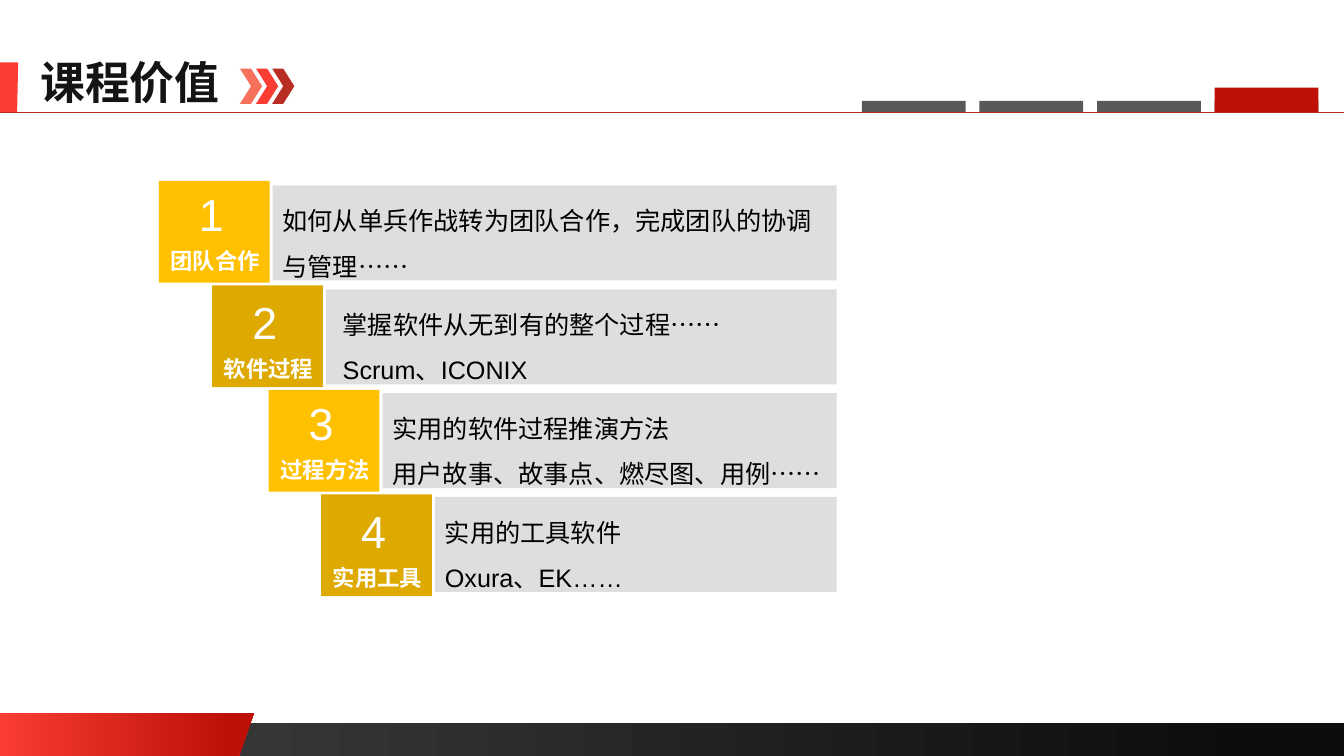
from dataclasses import dataclass

from pptx import Presentation
from pptx.dml.color import RGBColor
from pptx.enum.shapes import MSO_CONNECTOR, MSO_SHAPE
from pptx.enum.text import MSO_ANCHOR, MSO_AUTO_SIZE, PP_ALIGN
from pptx.oxml.ns import qn
from pptx.util import Inches, Pt

RECT = MSO_SHAPE.RECTANGLE
CHEVRON = MSO_SHAPE.CHEVRON
STRAIGHT = MSO_CONNECTOR.STRAIGHT
LEFT = PP_ALIGN.LEFT
CENTER = PP_ALIGN.CENTER
TOP = MSO_ANCHOR.TOP
FIXED = MSO_AUTO_SIZE.NONE

WHITE = RGBColor(0xFF, 0xFF, 0xFF)
BLACK = RGBColor(0x00, 0x00, 0x00)
INK = RGBColor(0x14, 0x13, 0x16)
COAL = RGBColor(0x40, 0x40, 0x40)
NIGHT = RGBColor(0x0D, 0x0D, 0x0D)
SLATE = RGBColor(0x59, 0x59, 0x59)
SILVER = RGBColor(0xDE, 0xDE, 0xDE)
CORAL = RGBColor(0xF5, 0x71, 0x5B)
RED = RGBColor(0xF9, 0x3D, 0x32)
BRICK = RGBColor(0xB8, 0x2E, 0x24)
CRIMSON = RGBColor(0xBE, 0x10, 0x07)
AMBER = RGBColor(0xFF, 0xC0, 0x00)
GOLD = RGBColor(0xDE, 0xA9, 0x00)

LATIN = "Arial"
ASIAN = "Noto Sans CJK SC"

COLS, ROWS = 80, 45
deck = Presentation()
deck.slide_width = Inches(13.33)
deck.slide_height = Inches(7.5)
slide = deck.slides.add_slide(deck.slide_layouts[5])


@dataclass
class Step:
    label: str
    lines: list[str]
    left: float
    inset: float = 0


STEPS = [
    Step("团队合作", ["如何从单兵作战转为团队合作，完成团队的协调与管理……"], 9.45),
    Step("软件过程", ["掌握软件从无到有的整个过程……", "Scrum、ICONIX"], 12.63, 0.4),
    Step("过程方法", ["实用的软件过程推演方法", "用户故事、故事点、燃尽图、用例……"], 15.99),
    Step("实用工具", ["实用的工具软件", "Oxura、EK……"], 19.11),
]


def across(cols: float) -> int:
    return round(deck.slide_width * cols / COLS)


def down(rows: float) -> int:
    return round(deck.slide_height * rows / ROWS)


def area(x: float, y: float, w: float, h: float) -> tuple[int, int, int, int]:
    return across(x), down(y), across(w), down(h)


def paint(shape, color: RGBColor, end: RGBColor | None = None, stop: float = 1):
    shape.shadow.inherit = False
    shape.line.fill.background()
    if end is None:
        shape.fill.solid()
        shape.fill.fore_color.rgb = color
        return
    shape.fill.gradient()
    shape.fill.gradient_angle = 0
    first, last = shape.fill.gradient_stops
    first.color.rgb, first.position = color, 0
    last.color.rgb, last.position = end, stop


def block(x: float, y: float, w: float, h: float, color: RGBColor, kind=RECT, **blend):
    paint(slide.shapes.add_shape(kind, *area(x, y, w, h)), color, **blend)


def outline(points: list[tuple[float, float]], color: RGBColor, **blend):
    spots = [(across(x), down(y)) for x, y in points]
    form = slide.shapes.build_freeform(*spots[0])
    form.add_line_segments(spots[1:])
    paint(form.convert_to_shape(), color, **blend)


def write(lines: list[str], x: float, y: float, w: float, h: float, *, size: int,
          color: RGBColor, bold: bool = False, align=LEFT, wrap: bool = True,
          space: float = 1, face: str = LATIN, holder=None):
    box = holder or slide.shapes.add_textbox(0, 0, 0, 0)
    box.left, box.top, box.width, box.height = area(x, y, w, h)
    frame = box.text_frame
    frame.auto_size = FIXED
    frame.word_wrap = wrap
    frame.vertical_anchor = TOP
    for n, line in enumerate(lines):
        para = frame.add_paragraph() if n else frame.paragraphs[0]
        para.alignment = align
        para.line_spacing = space
        run = para.add_run()
        run.text = line
        font = run.font
        font.size, font.bold, font.name = Pt(size), bold, face
        font.color.rgb = color
        east = font._element.makeelement(qn("a:ea"), {"typeface": ASIAN})
        font._element.find(qn("a:latin")).addnext(east)


def draw_frame():
    block(0, 43.02, COLS, 1.98, COAL, end=NIGHT, stop=0.94)
    outline([(0, 42.42), (15.12, 42.42), (14.22, 45), (0, 45)], RED, end=CRIMSON, stop=0.91)
    outline([(0, 3.72), (1.08, 3.72), (1.02, 6.72), (0, 6.72)], RED)
    write(["课程价值"], 1.8, 2.94, 12, 3.84, size=32, color=INK, bold=True,
          wrap=False, face=ASIAN, holder=slide.shapes.title)
    rule = slide.shapes.add_connector(STRAIGHT, 0, down(6.66), across(COLS), down(6.66))
    rule.line.color.rgb = BRICK
    rule.line.width = Pt(0.5)
    props = rule._element.spPr
    props.append(props.makeelement(qn("a:effectLst"), {}))
    for n, color in enumerate((CORAL, RED, BRICK)):
        block(14.28 + 0.96 * n, 4.08, 1.32, 2.1, color, CHEVRON)
    for n in range(4):
        block(51.3 + 7 * n, 6, 6.18, 0.66, SLATE)
    block(72.3, 5.22, 6.18, 1.44, CRIMSON)


def draw_step(n: int, step: Step):
    odd = n % 2
    top = 10.77 + 6.22 * n
    bar = step.left + 6.78
    bar_top = 11.04 + 6.18 * n
    width = 49.8 - bar
    drop = top + 0.2 * odd
    block(bar, bar_top, width, 5.66, SILVER)
    write(step.lines, bar + step.inset, bar_top, width - step.inset, 6.06,
          size=18, color=BLACK, space=1.5)
    block(step.left, top, 6.6, 6.06, GOLD if odd else AMBER)
    write([step.label], step.left + 0.06, drop + 3.63, 6.6, 2.22, size=16,
          color=WHITE, bold=True, align=CENTER, wrap=False)
    write([str(n + 1)], step.left + 1.8, drop + 0.06, 3.36, 3.78, size=32, color=WHITE)


def main():
    draw_frame()
    for n, step in enumerate(STEPS):
        draw_step(n, step)
    deck.save("out.pptx")


if __name__ == "__main__":
    main()
